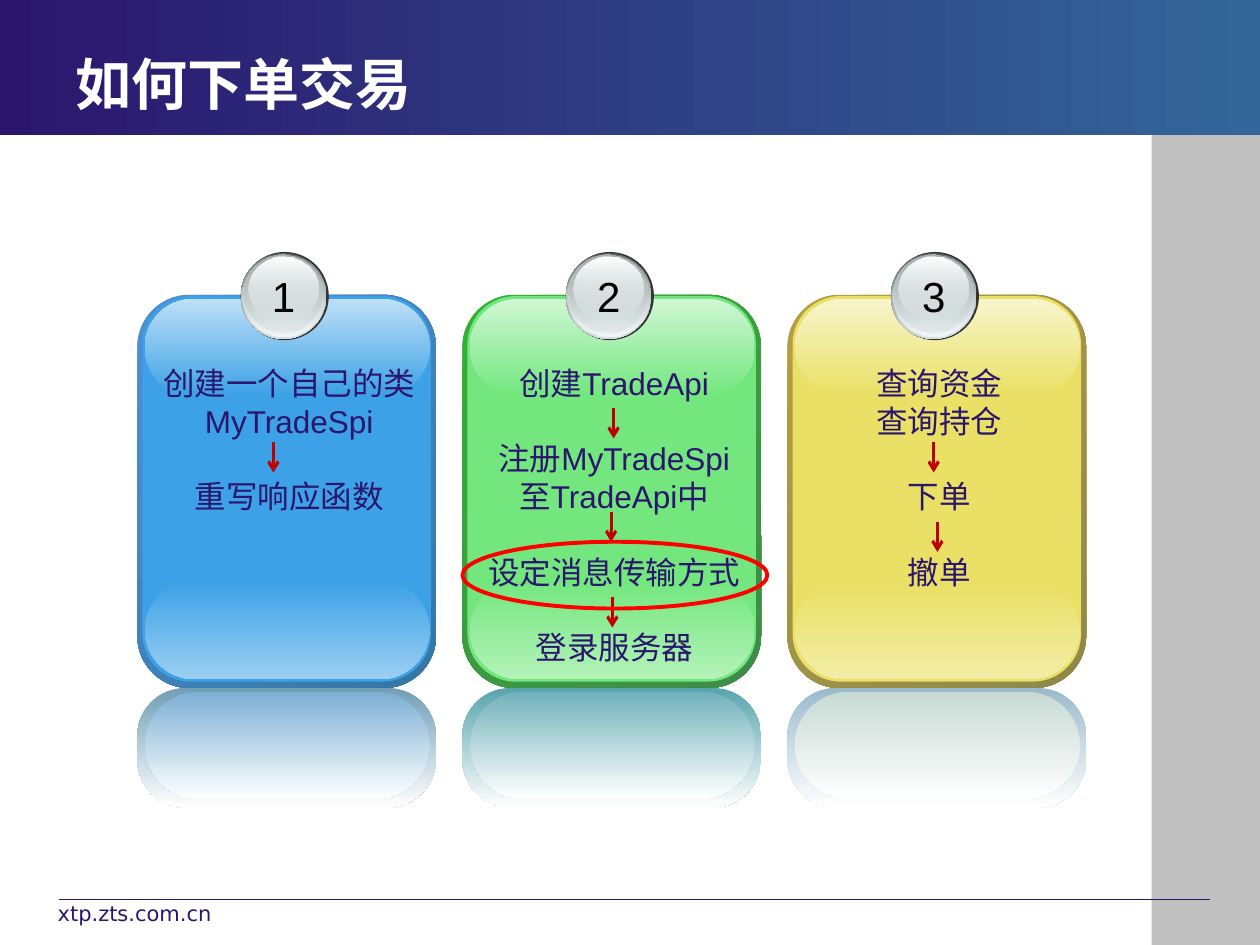
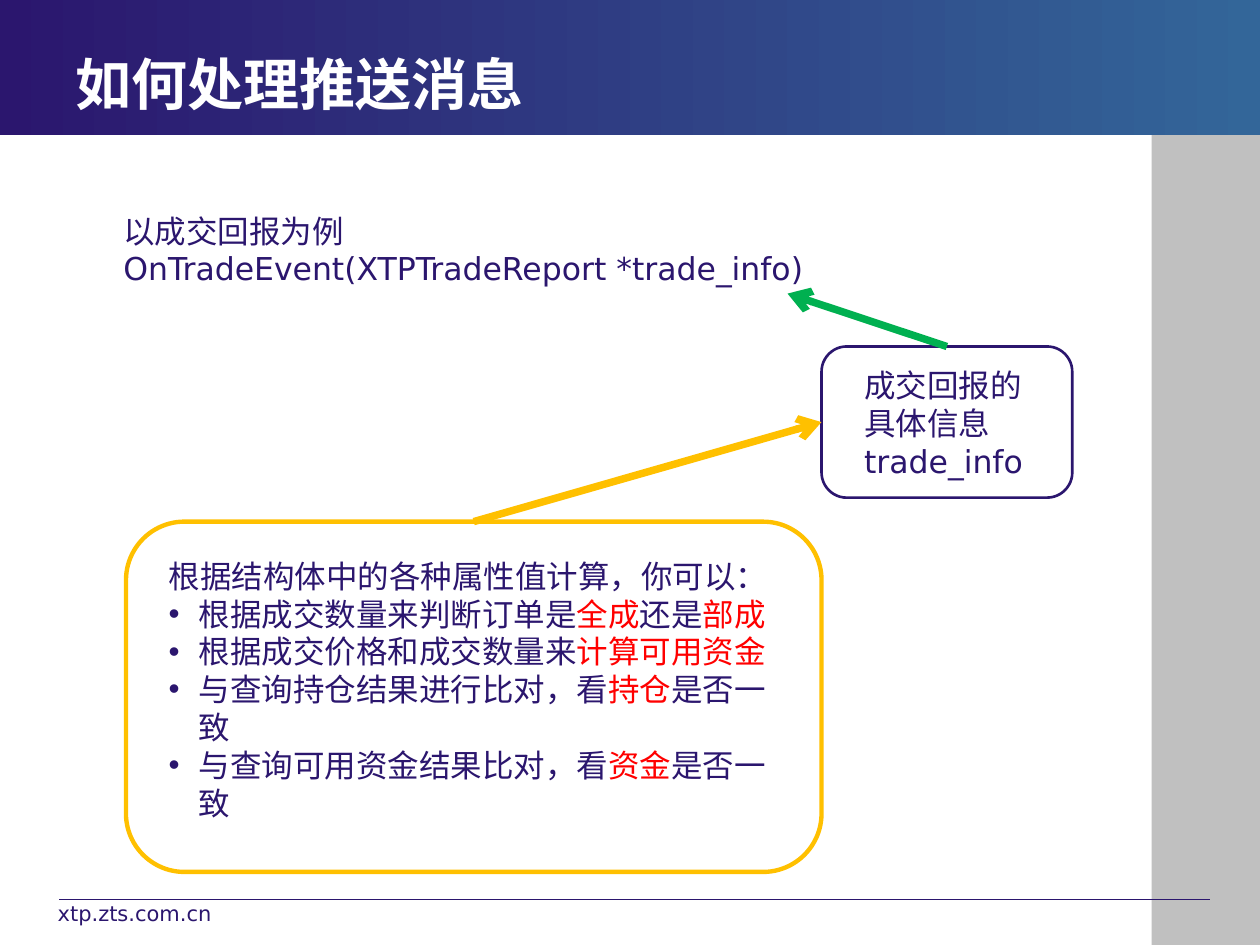
import pptx
import pptx.dml.color
import pptx.enum.shapes
import pptx.enum.text
import pptx.oxml
import pptx.oxml.ns
import pptx.util
from pptx.util import Inches

# Shared look
NAVY, TEAL, WHITE, BLACK = "2B166E", "336699", "FFFFFF", "000000"
GREY, RED, DARK_RED = "C0C0C0", "FF0000", "C00000"
GREEN, AMBER = "00B050", "FFC000"
LATIN, SANS = "Arial", "DejaVu Sans"
SHAPE = pptx.enum.shapes.MSO_SHAPE
CENTER = pptx.enum.text.PP_ALIGN.CENTER
MIDDLE = pptx.enum.text.MSO_ANCHOR.MIDDLE

# Step panels: edge gradient, face, top gloss, bottom gloss, two reflections, steps
PANEL_PITCH = 2.58
PANELS = [
    (("4E91D4", "3477A4"), "3CA1E6", "BEE0F7", "9BCFF2", "729EB4", "7DAFD4",
     [["创建一个自己的类MyTradeSpi"], ["重写响应函数"]]),
    (("34B034", "3F8B4A"), "73E77E", "D0F7D4", "B3F2B9", "58A4AE", "72B2BB",
     [["创建TradeApi"], ["注册MyTradeSpi至TradeApi中"], ["设定消息传输方式"],
      ["登录服务器"]]),
    (("B59F43", "8F8849"), "E9E065", "F8F5CC", "F2EDA6", "99BACC", "C8DAD4",
     [["查询资金", "查询持仓"], ["下单"], ["撤单"]]),
]

# Badge layers: left offset in the panel, top, width, height, colours, opacities
BADGE_LAYERS = [
    (0.82, 2.01, 0.68, 0.68, ("636869", "D6E1E2"), (100, 100)),
    (0.83, 2.01, 0.66, 0.66, ("D6E1E2", "F1F5F5"), (0, 100)),
    (0.84, 2.02, 0.63, 0.62, ("AAB2B3", "D6E1E2"), (100, 48)),
    (0.88, 2.04, 0.56, 0.50, ("FFFFFF", "D6E1E2"), (100, 38)),
]

# Arrows between steps: x, top
STEP_ARROWS = [(2.17, 3.51), (4.87, 3.24), (4.85, 4.06), (4.86, 4.74),
               (7.41, 3.51), (7.44, 4.14)]


def rgb(color):
    return pptx.dml.color.RGBColor.from_string(color)


def sub(parent, tag, **attrs):
    el = pptx.oxml.parse_xml(
        f'<{tag} xmlns:a="http://schemas.openxmlformats.org/drawingml/2006/main"/>')
    for name, value in attrs.items():
        el.set(name, str(value))
    parent.append(el)


def shape(s, kind, box, fill=None, line=None, width=1, adj=None):
    """Add a preset shape with a solid fill, or none, and an optional line."""
    sp = s.shapes.add_shape(kind, *map(Inches, box))
    sp.shadow.inherit = False
    if adj is not None:
        sp.adjustments[0] = adj
    if fill:
        sp.fill.solid()
        sp.fill.fore_color.rgb = rgb(fill)
    else:
        sp.fill.background()
    if line:
        sp.line.color.rgb = rgb(line)
        sp.line.width = pptx.util.Pt(width)
    else:
        sp.line.fill.background()
    return sp


def gradient(s, kind, box, colors, angle=90, adj=None, alphas=(100, 100)):
    """Add a shape with a two-stop gradient; angle runs clockwise."""
    sp = shape(s, kind, box, adj=adj)
    sp.fill.gradient()
    sp.fill.gradient_angle = (360 - angle) % 360
    for stop, color in zip(sp.fill.gradient_stops, colors):
        stop.color.rgb = rgb(color)
    for el, alpha in zip(sp.element.iter(pptx.oxml.ns.qn("a:srgbClr")), alphas):
        if alpha < 100:
            sub(el, "a:alpha", val=alpha * 1000)
    return sp


def line(s, start, end, color, width, arrow=False):
    cx = s.shapes.add_connector(pptx.enum.shapes.MSO_CONNECTOR.STRAIGHT,
                                *map(Inches, (*start, *end)))
    cx.line.color.rgb = rgb(color)
    cx.line.width = pptx.util.Pt(width)
    if arrow:
        sub(cx.line._get_or_add_ln(), "a:tailEnd", type="arrow")
    sub(cx.element.spPr, "a:effectLst")
    return cx


def text(s, box, paras, size=18, color=NAVY, font=LATIN, bold=False,
         align=None, anchor=None, wrap=True, bullets_from=None):
    """Add a text box; a paragraph is a string or (text, colour, font) runs."""
    tf = s.shapes.add_textbox(*map(Inches, box)).text_frame
    tf.word_wrap = wrap
    if anchor is not None:
        tf.vertical_anchor = anchor
    for i, runs in enumerate(paras):
        p = tf.add_paragraph() if i else tf.paragraphs[0]
        if align is not None:
            p.alignment = align
        if bullets_from is not None and i >= bullets_from:
            pPr = p._p.get_or_add_pPr()
            pPr.set("marL", str(Inches(0.24)))
            pPr.set("indent", str(-Inches(0.24)))
            sub(pPr, "a:buFont", typeface=LATIN)
            sub(pPr, "a:buChar", char="•")
        p.font.size = pptx.util.Pt(size)
        p.font.bold = bold
        p.font.name = font
        p.font.color.rgb = rgb(color)
        for words, run_color, run_font in [(runs, None, None)] if isinstance(runs, str) else runs:
            r = p.add_run()
            r.text = words
            if run_color:
                r.font.color.rgb = rgb(run_color)
            if run_font:
                r.font.name = run_font
    return tf


def base_slide(prs, title):
    """Add a slide with the side band, title band, title and footer."""
    s = prs.slides.add_slide(prs.slide_layouts[6])
    shape(s, SHAPE.RECTANGLE, (9.14, 1.07, 0.86, 6.43), GREY)
    line(s, (0.47, 7.14), (9.6, 7.14), NAVY, 0.75)
    gradient(s, SHAPE.RECTANGLE, (0, 0, 10, 1.07), (NAVY, TEAL), angle=0)
    text(s, (0.5, 0.35, 6.75, 0.62), [title], 32, WHITE, SANS, bold=True, anchor=MIDDLE)
    text(s, (0.36, 7.1, 2.33, 0.35), ["xtp.zts.com.cn"], 12, font=SANS)
    return s


def badge(s, x, number):
    shape(s, SHAPE.OVAL, (x + 0.82, 2, 0.7, 0.7), "333333")
    for dx, top, w, h, colors, alphas in BADGE_LAYERS:
        gradient(s, SHAPE.OVAL, (x + dx, top, w, h), colors, alphas=alphas)
    text(s, (x + 0.97, 2.1, 0.38, 0.5), [str(number)], 24, BLACK, align=CENTER, wrap=False)


def panel(s, number, edge, face, top, bottom, mirror, inner_mirror, steps):
    """Add a glossy numbered panel with its reflection and steps."""
    x = 1.09 + PANEL_PITCH * (number - 1)
    box = SHAPE.ROUNDED_RECTANGLE
    gradient(s, box, (x, 2.34, 2.37, 3.12), edge, angle=45, adj=0.174)
    shape(s, box, (x + 0.04, 2.35, 2.29, 3.06), face, adj=0.167)
    gradient(s, box, (x + 0.06, 4.61, 2.26, 0.78), (face, bottom), adj=0.5)
    gradient(s, box, (x + 0.06, 2.37, 2.26, 0.77), (top, face), adj=0.5)
    gradient(s, box, (x, 5.46, 2.37, 0.95), (mirror, WHITE), adj=0.404)
    gradient(s, box, (x + 0.06, 5.49, 2.26, 0.85), (inner_mirror, WHITE), adj=0.5)
    badge(s, x, number)
    lines = [words for step in steps for words in step]
    tf = text(s, (x + 0.08, 2.84, 2.25, 2.5), lines, align=CENTER)
    first = 0
    for step in steps[:-1]:
        first += len(step)
        tf.paragraphs[first].space_before = pptx.util.Pt(21.5)


def order_slide(prs):
    s = base_slide(prs, "如何下单交易")
    for number, spec_row in enumerate(PANELS, 1):
        panel(s, number, *spec_row)
    for x, top in STEP_ARROWS:
        line(s, (x, top), (x, top + 0.24), DARK_RED, 1.75, arrow=True)
    shape(s, SHAPE.OVAL, (3.67, 4.3, 2.42, 0.53), line=RED, width=2.25)


def push_slide(prs):
    s = base_slide(prs, "如何处理推送消息")
    text(s, (0.88, 1.63, 8.11, 0.7),
         ["以成交回报为例", "OnTradeEvent(XTPTradeReport *trade_info)"], font=SANS)

    # Boxes and the arrows that join them
    info = shape(s, SHAPE.ROUNDED_RECTANGLE, (6.52, 2.75, 1.99, 1.2), line=NAVY, width=1.5)
    text(s, (6.76, 2.86, 1.52, 1),
         [[("成交回报的具体信息", None, None), ("trade_info", None, SANS)]])
    to_event = line(s, (7.52, 2.75), (6.25, 2.33), GREEN, 4.25, arrow=True)
    to_event.begin_connect(info, 0)
    usage = shape(s, SHAPE.ROUNDED_RECTANGLE, (1, 4.14, 5.52, 2.78), line=AMBER, width=2.5)
    to_info = line(s, (3.76, 4.14), (6.52, 3.35), AMBER, 4.25, arrow=True)
    to_info.begin_connect(usage, 0)
    to_info.end_connect(info, 1)

    # Uses of the report, with key words in red
    uses = [
        [("根据成交数量来判断订单是", None), ("全成", RED), ("还是", None), ("部成", RED)],
        [("根据成交价格和成交数量来", None), ("计算可用资金", RED)],
        [("与查询持仓结果进行比对，看", None), ("持仓", RED), ("是否一致", None)],
        [("与查询可用资金结果比对，看", None), ("资金", RED), ("是否一致", None)],
    ]
    text(s, (1.24, 4.37, 5.17, 2.2),
         ["根据结构体中的各种属性值计算，你可以："]
         + [[(words, color, None) for words, color in use] for use in uses],
         bullets_from=1)


def main():
    prs = pptx.Presentation()
    prs.slide_width, prs.slide_height = Inches(10), Inches(7.5)
    order_slide(prs)
    push_slide(prs)
    prs.save("out.pptx")


if __name__ == "__main__":
    main()
